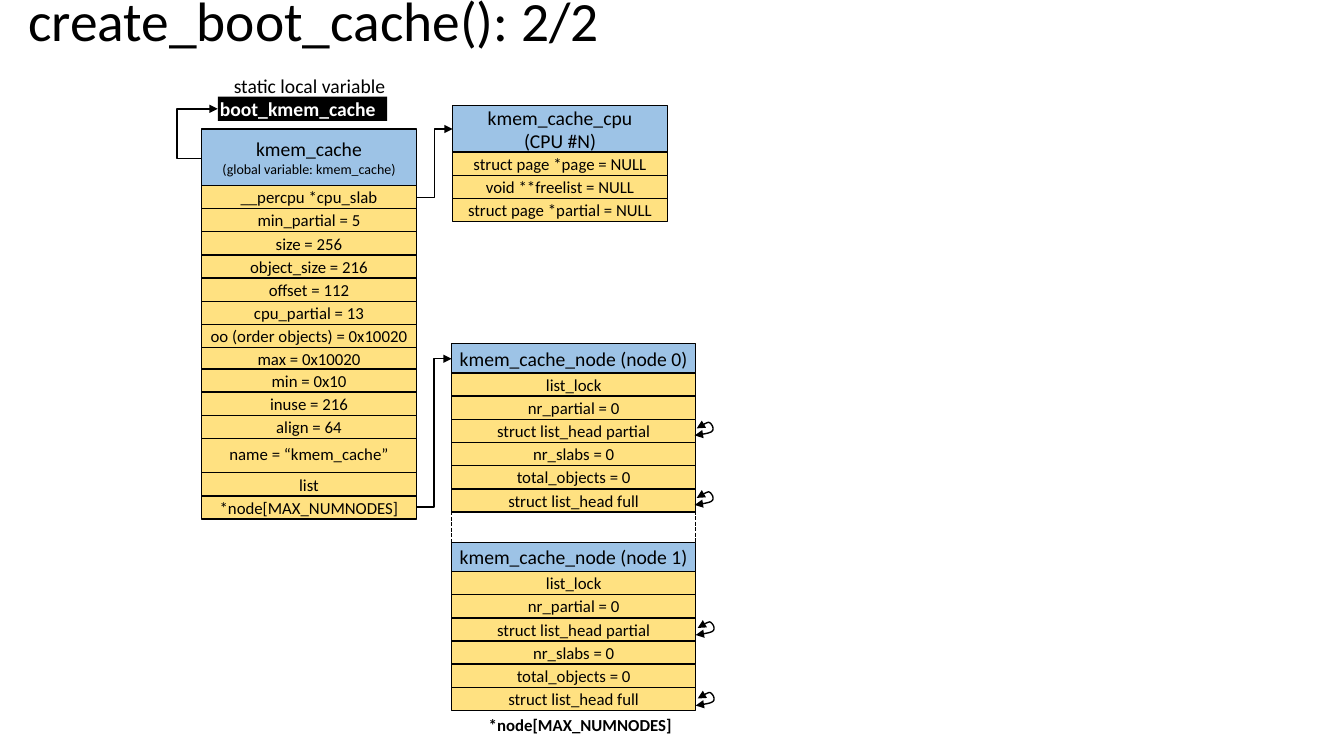
from dataclasses import dataclass

from lxml import etree
from pptx import Presentation
from pptx.dml.color import RGBColor
from pptx.enum.dml import MSO_LINE
from pptx.enum.shapes import MSO_CONNECTOR as Connector, MSO_SHAPE as Shape
from pptx.enum.text import MSO_ANCHOR as Anchor, PP_ALIGN as Align
from pptx.oxml.ns import qn
from pptx.util import Inches, Pt


@dataclass(frozen=True)
class Theme:
    font: str = "Calibri"
    ink: RGBColor = RGBColor(0x00, 0x00, 0x00)
    paper: RGBColor = RGBColor(0xFF, 0xFF, 0xFF)
    header: RGBColor = RGBColor(0x9D, 0xC3, 0xE6)
    field: RGBColor = RGBColor(0xFF, 0xE1, 0x81)
    title_size: float = 39.6
    head_size: float = 14
    field_size: float = 12
    note_size: float = 10
    line: float = 1


theme = Theme()


def write(box, lines, align=Align.CENTER, anchor=Anchor.MIDDLE,
          inset=(0.1, 0.05), color=theme.ink, bold=False):
    """Fill a box with one paragraph of (text, size) lines."""
    frame = box.text_frame
    frame.word_wrap = True
    frame.vertical_anchor = anchor
    frame.margin_left = frame.margin_right = Inches(inset[0])
    frame.margin_top = frame.margin_bottom = Inches(inset[1])
    paragraph = frame.paragraphs[0]
    paragraph.alignment = align
    for index, (text, size) in enumerate(lines):
        if index:
            paragraph.add_line_break()
            line_break = paragraph._p.findall(qn("a:br"))[-1]
            etree.SubElement(line_break, qn("a:rPr"), sz=str(int(size * 100)))
        run = paragraph.add_run()
        run.text = text
        run.font.name = theme.font
        run.font.size = Pt(size)
        run.font.bold = bold
        run.font.color.rgb = color
    return paragraph


def style_line(shape, *arrow_ends):
    """Draw a thin black line with triangles at the given ends."""
    shape.line.color.rgb = theme.ink
    shape.line.width = Pt(theme.line)
    for end in arrow_ends:
        etree.SubElement(shape.line._get_or_add_ln(), qn(f"a:{end}"), type="triangle")


presentation = Presentation()
presentation.slide_width, presentation.slide_height = Inches(13.33), Inches(7.5)
slide = presentation.slides.add_slide(presentation.slide_layouts[6])
shapes = slide.shapes

# Title
title = shapes.add_textbox(Inches(0.18), Inches(-0.14), Inches(12.41), Inches(0.75))
write(title, [("create_boot_cache(): 2/2", theme.title_size)], Align.LEFT).line_spacing = 0.9

# Structures: left, top, width, header height, header inset, header lines, fields
row_height = 0.23
special_heights = {"max = 0x10020": 0.21, "name = “kmem_cache”": 0.34}
cache_fields = [
    "__percpu *cpu_slab", "min_partial = 5", "size = 256", "object_size = 216",
    "offset = 112", "cpu_partial = 13", "oo (order objects) = 0x10020",
    "max = 0x10020", "min = 0x10", "inuse = 216", "align = 64",
    "name = “kmem_cache”", "list", "*node[MAX_NUMNODES]",
]
cpu_fields = ["struct page *page = NULL", "void **freelist = NULL", "struct page *partial = NULL"]
node_fields = ["list_lock", "nr_partial = 0", "struct list_head partial",
               "nr_slabs = 0", "total_objects = 0", "struct list_head full"]
structures = [
    (2, 1.28, 2.13, 0.56, 0,
     [("kmem_cache", theme.head_size), ("(global variable: kmem_cache)", theme.note_size)],
     cache_fields),
    (4.49, 1.05, 2.13, 0.46, 0.01,
     [("kmem_cache_cpu", theme.head_size), ("(CPU #N)", theme.head_size)], cpu_fields),
    (4.48, 3.41, 2.42, 0.29, 0.05,
     [("kmem_cache_node (node 0)", theme.head_size)], node_fields),
    (4.48, 5.38, 2.42, 0.29, 0.05,
     [("kmem_cache_node (node 1)", theme.head_size)], node_fields),
]
for left, top, width, header_height, header_inset, header_lines, fields in structures:
    rows = [(header_lines, header_height, theme.header, header_inset)]
    for field in fields:
        rows.append(([(field, theme.field_size)], special_heights.get(field, row_height),
                     theme.field, 0.01))
    for lines, height, fill, inset in rows:
        row = shapes.add_shape(Shape.RECTANGLE, Inches(left), Inches(top),
                               Inches(width), Inches(height))
        row.shadow.inherit = False
        row.fill.solid()
        row.fill.fore_color.rgb = fill
        style_line(row)
        paragraph = write(row, lines, inset=(inset, 0.05))
        if lines[0][0].startswith("name"):
            paragraph.line_spacing = Pt(12)
        top += height

# Captions
variable_kind = shapes.add_textbox(Inches(2.22), Inches(0.68), Inches(1.91), Inches(0.34))
write(variable_kind, [("static local variable", theme.head_size)], Align.LEFT, Anchor.TOP)

boot_cache = shapes.add_textbox(Inches(2.16), Inches(0.96), Inches(1.68), Inches(0.24))
boot_cache.fill.solid()
boot_cache.fill.fore_color.rgb = theme.ink
write(boot_cache, [("boot_kmem_cache", theme.head_size)], Align.LEFT, Anchor.TOP,
      (0.02, 0), theme.paper, True)

node_array = shapes.add_textbox(Inches(4.68), Inches(7.04), Inches(2.15), Inches(0.3))
write(node_array, [("*node[MAX_NUMNODES]", theme.field_size)], anchor=Anchor.TOP, bold=True)

# Pointers and the dashed sides between nodes: kind, start, end, bend
links = [
    (Connector.ELBOW, (2, 1.57), (2.16, 1.08), -151900),
    (Connector.ELBOW, (4.13, 1.96), (4.49, 1.28), 50000),
    (Connector.ELBOW, (4.13, 5.03), (4.48, 3.56), 50000),
    (Connector.STRAIGHT, (4.48, 4.96), (4.48, 5.38), None),
    (Connector.STRAIGHT, (6.9, 5.01), (6.9, 5.58), None),
]
for kind, start, end, bend in links:
    link = shapes.add_connector(kind, *map(Inches, start + end))
    etree.SubElement(link._element.spPr, qn("a:effectLst"))
    if bend is None:
        style_line(link)
        link.line.dash_style = MSO_LINE.SQUARE_DOT
    else:
        style_line(link, "tailEnd")
        guides = link._element.spPr.find(qn("a:prstGeom")).get_or_add_avLst()
        etree.SubElement(guides, qn("a:gd"), name="adj1", fmla=f"val {bend}")

# Self-pointing list heads: cubic curves as offsets from the lower tip
loop_curves = [
    ((0, 0), (0.06, -0.01), (0.15, -0.02), (0.17, -0.04)),
    ((0.17, -0.04), (0.2, -0.06), (0.17, -0.12), (0.14, -0.13)),
    ((0.14, -0.13), (0.12, -0.13), (0.07, -0.1), (0.02, -0.07)),
]
steps = 8
for tip_x, tip_y in [(6.89, 4.32), (6.89, 5.01), (6.9, 6.3), (6.9, 7)]:
    points = []
    for curve in loop_curves:
        for step in range(1, steps + 1):
            t = step / steps
            weights = ((1 - t) ** 3, 3 * t * (1 - t) ** 2, 3 * t ** 2 * (1 - t), t ** 3)
            dx, dy = (sum(w * p[axis] for w, p in zip(weights, curve)) for axis in (0, 1))
            points.append((Inches(tip_x + dx), Inches(tip_y + dy)))
    outline = shapes.build_freeform(Inches(tip_x), Inches(tip_y))
    outline.add_line_segments(points, close=False)
    loop = outline.convert_to_shape()
    loop.shadow.inherit = False
    loop.fill.background()
    style_line(loop, "headEnd", "tailEnd")

presentation.save("out.pptx")
